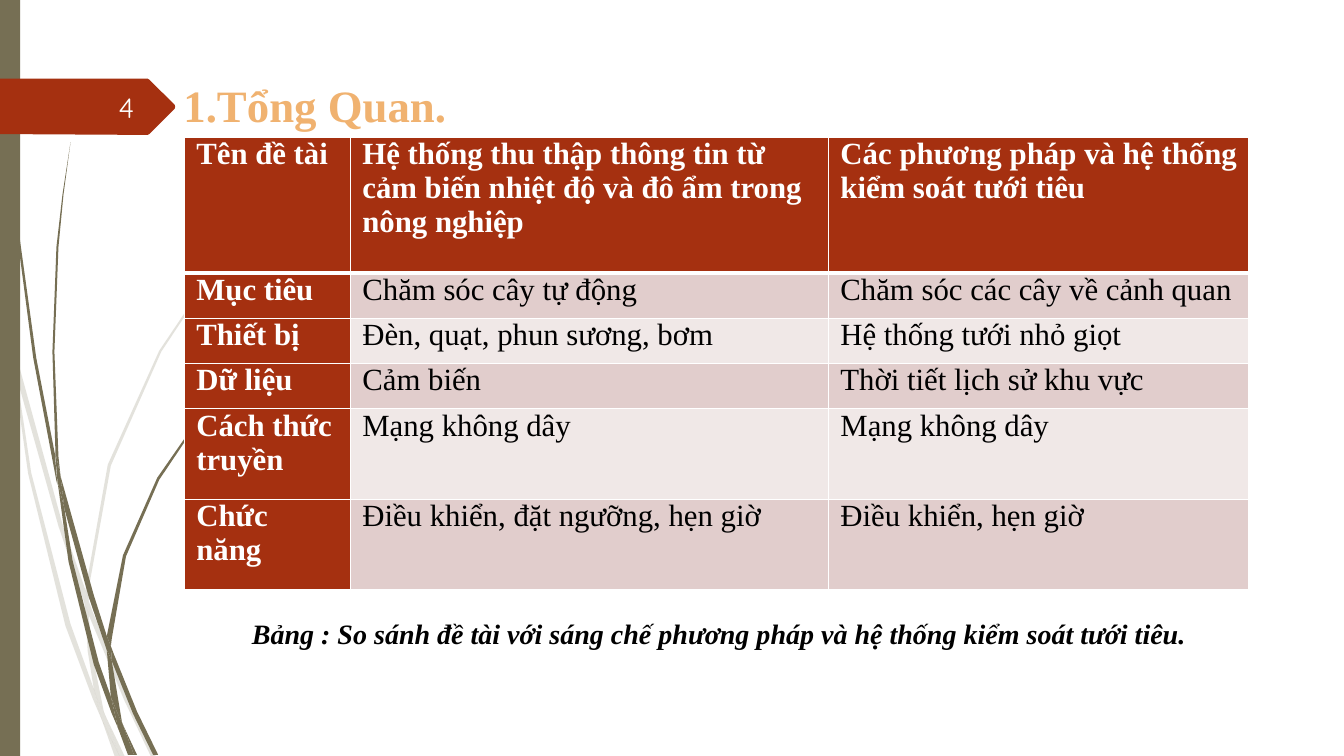
from dataclasses import dataclass
from lxml.etree import SubElement
from pptx import Presentation
from pptx.dml.color import RGBColor
from pptx.enum.shapes import MSO_SHAPE as Shape
from pptx.enum.text import MSO_ANCHOR as Anchor, MSO_AUTO_SIZE as AutoSize, PP_ALIGN as Align
from pptx.oxml.ns import qn
from pptx.util import Pt

TITLE = "1.Tổng Quan."
CAPTION = "Bảng : So sánh đề tài với sáng chế phương pháp và hệ thống kiểm soát tưới tiêu."
PAGE_NUMBER = "4"
COMPARISON = [
    ("Tên đề tài", "Hệ thống thu thập thông tin từ cảm biến nhiệt độ và đô ẩm trong nông nghiệp",
     "Các phương pháp và hệ thống kiểm soát tưới tiêu"),
    ("Mục tiêu", "Chăm sóc cây tự động", "Chăm sóc các cây về cảnh quan"),
    ("Thiết bị", "Đèn, quạt, phun sương, bơm", "Hệ thống tưới nhỏ giọt"),
    ("Dữ liệu", "Cảm biến", "Thời tiết lịch sử khu vực"),
    ("Cách thức truyền", "Mạng không dây", "Mạng không dây"),
    ("Chức năng", "Điều khiển, đặt ngưỡng, hẹn giờ", "Điều khiển, hẹn giờ"),
]
LEFT_ALIGNED = {(0, 1), (4, 0), (5, 0)}
COLUMN_WIDTHS = (118.6, 341.5, 300.2)
ROW_HEIGHTS = (97.2, 32.3, 32.3, 32.3, 64.6, 64.6)

GRASS_UNIT = 0.72
FAINT_GRASS = [
    [(11, 350), (9, 322), (0, 282), (0, 299), (10, 344)],
    [(58, 522), (84, 599), (85, 586), (62, 520), (14, 345), (17, 376)],
    [(92, 607), (88, 596), (88, 610), (123, 694), (150, 751), (155, 751), (127, 692)],
    [(119, 751), (124, 751), (105, 711)],
    [(93, 683), (70, 619), (31, 469), (17, 376), (11, 350), (28, 470), (65, 621), (92, 693),
     (101, 714), (99, 707)],
    [(84, 599), (87, 646), (93, 683), (96, 692), (105, 711), (103, 706), (91, 646), (88, 610), (88, 608)],
    [(88, 584), (110, 462), (160, 349), (229, 245), (268, 198), (290, 175), (312, 154), (312, 153),
     (289, 175), (268, 197), (228, 244), (158, 348), (107, 461), (85, 584), (85, 586), (88, 596)],
    [(101, 714), (114, 751), (119, 751)],
    [(88, 608), (88, 610), (88, 596), (85, 586), (84, 599)],
    [(96, 692), (93, 683), (99, 707), (101, 714), (119, 751), (105, 711)],
]
DARK_GRASS = [
    [(7, 110), (17, 233), (33, 355), (56, 477), (57, 481), (55, 457), (55, 453), (36, 355),
     (19, 232), (8, 109), (5, 48), (4, 0), (3, 0), (4, 48)],
    [(88, 592), (106, 645), (106, 633), (106, 631), (93, 590), (60, 472), (64, 505)],
    [(113, 649), (110, 641), (111, 656), (132, 708), (152, 749), (157, 749), (136, 706)],
    [(110, 691), (98, 657), (72, 556), (64, 505), (57, 477), (68, 557), (93, 659), (111, 708),
     (117, 722), (116, 717)],
    [(60, 472), (58, 453), (54, 349), (58, 245), (63, 193), (70, 141), (62, 193), (56, 245),
     (52, 349), (55, 449)],
    [(133, 749), (136, 749), (122, 719)],
    [(57, 477), (64, 505), (60, 472), (55, 449), (55, 453)],
    [(111, 633), (125, 552), (158, 476), (205, 406), (231, 374), (245, 359), (261, 344), (260, 344),
     (245, 358), (231, 373), (204, 405), (156, 474), (122, 551), (106, 631), (110, 641)],
    [(117, 722), (127, 749), (131, 749)],
    [(106, 645), (110, 691), (116, 706), (122, 719), (121, 716), (111, 656), (109, 651)],
    [(106, 645), (109, 651), (111, 656), (110, 641), (106, 631), (106, 633)],
    [(116, 706), (110, 691), (116, 717), (117, 722), (130, 749), (133, 749), (122, 719)],
]
PAGE_TAG = [(0, 56.2), (105.5, 56.2), (106.6, 56.9), (124.8, 74.9), (125.1, 76.3),
            (124.8, 77.6), (106.6, 95.8), (105.5, 96.4), (0, 95.8)]


@dataclass(frozen=True)
class Theme:
    olive: str = "766F54"
    rust: str = "A53010"
    amber: str = "F0B270"
    rose: str = "E1CDCC"
    blush: str = "F0E8E7"
    white: str = "FFFFFF"
    near_white: str = "FEFFFF"
    black: str = "000000"
    body_font: str = "Times New Roman"
    number_font: str = "Quicksand"
    title_size: float = 32
    table_size: float = 22
    small_size: float = 20


theme = Theme()


def paint(shape, color, alpha=None):
    shape.shadow.inherit = False
    shape.line.fill.background()
    shape.fill.solid()
    shape.fill.fore_color.rgb = RGBColor.from_string(color)
    if alpha is not None:
        tint = shape.element.spPr.find(f"{qn('a:solidFill')}/{qn('a:srgbClr')}")
        SubElement(tint, qn("a:alpha"), val=str(alpha * 1000))


def write(frame, text, size, color, align, font=theme.body_font, bold=False, italic=False, after=0):
    paragraph = frame.paragraphs[0]
    paragraph.alignment = align
    paragraph.space_before = Pt(0)
    paragraph.space_after = Pt(after)
    run = paragraph.add_run()
    run.text = text
    run.font.name, run.font.size = font, Pt(size)
    run.font.bold, run.font.italic = bold, italic
    run.font.color.rgb = RGBColor.from_string(color)


def draw_outline(slide, points, color, alpha=None):
    corners = [(Pt(x), Pt(y)) for x, y in points]
    builder = slide.shapes.build_freeform(*corners[0])
    builder.add_line_segments(corners[1:], close=True)
    paint(builder.convert_to_shape(), color, alpha)


def draw_grass(slide, blades, alpha=None):
    for blade in blades:
        draw_outline(slide, [(x * GRASS_UNIT, y * GRASS_UNIT) for x, y in blade], theme.olive, alpha)


def set_borders(cell, header):
    properties = cell._tc.get_or_add_tcPr()
    for position, side in enumerate(("lnL", "lnR", "lnT", "lnB")):
        width = Pt(3) if header and side == "lnB" else Pt(1)
        border = properties.makeelement(qn(f"a:{side}"), {"w": str(width)})
        fill = SubElement(border, qn("a:solidFill"))
        SubElement(fill, qn("a:srgbClr"), val=theme.white)
        properties.insert(position, border)


def draw_comparison(slide):
    table = slide.shapes.add_table(len(COMPARISON), len(COLUMN_WIDTHS), Pt(131.8), Pt(97.9),
                                   Pt(sum(COLUMN_WIDTHS)), Pt(sum(ROW_HEIGHTS))).table
    for column, width in zip(table.columns, COLUMN_WIDTHS):
        column.width = Pt(width)
    for row, height in zip(table.rows, ROW_HEIGHTS):
        row.height = Pt(height)
    for r, entries in enumerate(COMPARISON):
        for c, entry in enumerate(entries):
            cell = table.cell(r, c)
            heading = r == 0 or c == 0
            cell.margin_left = cell.margin_right = Pt(8.5)
            cell.margin_top = cell.margin_bottom = Pt(0)
            cell.fill.solid()
            band = theme.rose if r % 2 else theme.blush
            cell.fill.fore_color.rgb = RGBColor.from_string(theme.rust if heading else band)
            set_borders(cell, r == 0)
            write(cell.text_frame, entry, theme.table_size, theme.white if heading else theme.black,
                  Align.LEFT if (r, c) in LEFT_ALIGNED else Align.JUSTIFY,
                  bold=heading, after=15 if (r, c) == (0, 1) else 5)


def add_label(slide, left, top, width, height):
    frame = slide.shapes.add_textbox(Pt(left), Pt(top), Pt(width), Pt(height)).text_frame
    frame.word_wrap = True
    return frame


def main():
    deck = Presentation()
    deck.slide_width, deck.slide_height = Pt(960), Pt(540)
    slide = deck.slides.add_slide(deck.slide_layouts[5])

    draw_grass(slide, FAINT_GRASS, alpha=20)
    draw_grass(slide, DARK_GRASS)
    paint(slide.shapes.add_shape(Shape.RECTANGLE, Pt(0), Pt(0), Pt(14.4), Pt(540)), theme.olive)
    draw_outline(slide, PAGE_TAG, theme.rust)

    title = slide.shapes.title
    title.left, title.top, title.width, title.height = Pt(123.8), Pt(9.2), Pt(270.7), Pt(88.3)
    title.text_frame.auto_size = AutoSize.NONE
    title.text_frame.vertical_anchor = Anchor.BOTTOM
    write(title.text_frame, TITLE, theme.title_size, theme.amber, Align.LEFT, bold=True)

    draw_comparison(slide)
    caption = add_label(slide, 123.8, 437, 779.8, 31.7)
    write(caption, CAPTION, theme.small_size, theme.black, Align.CENTER, bold=True, italic=True, after=5)
    number = add_label(slide, 41.8, 61.9, 61.2, 28.8)
    number.vertical_anchor = Anchor.MIDDLE
    write(number, PAGE_NUMBER, theme.small_size, theme.near_white, Align.RIGHT, font=theme.number_font)
    deck.save("out.pptx")


if __name__ == "__main__":
    main()
